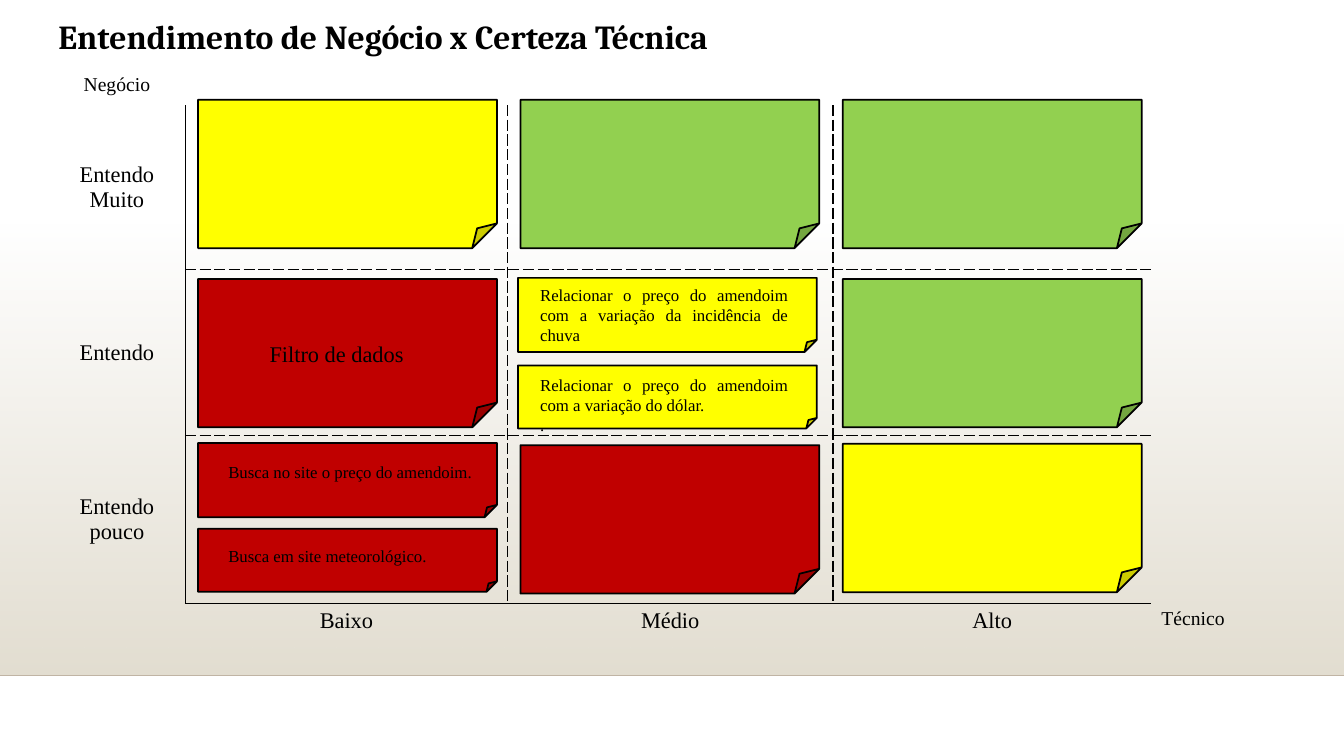
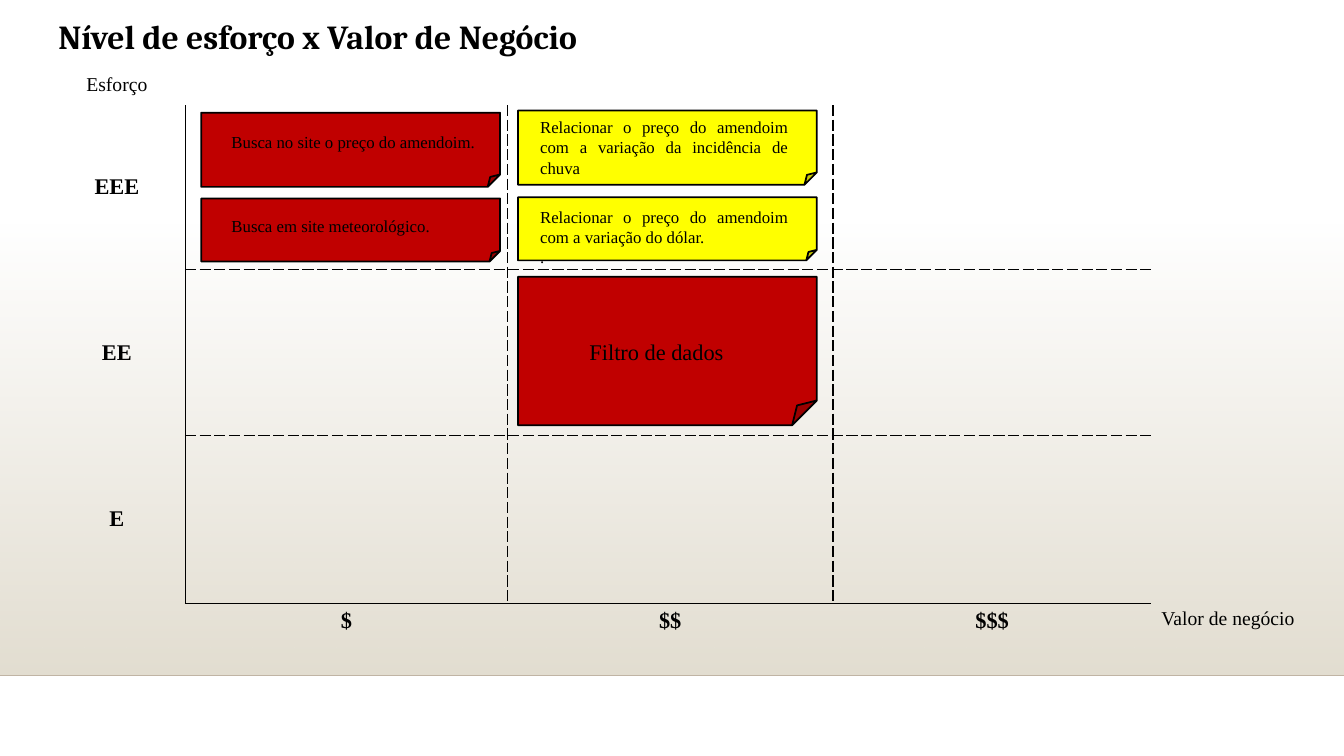
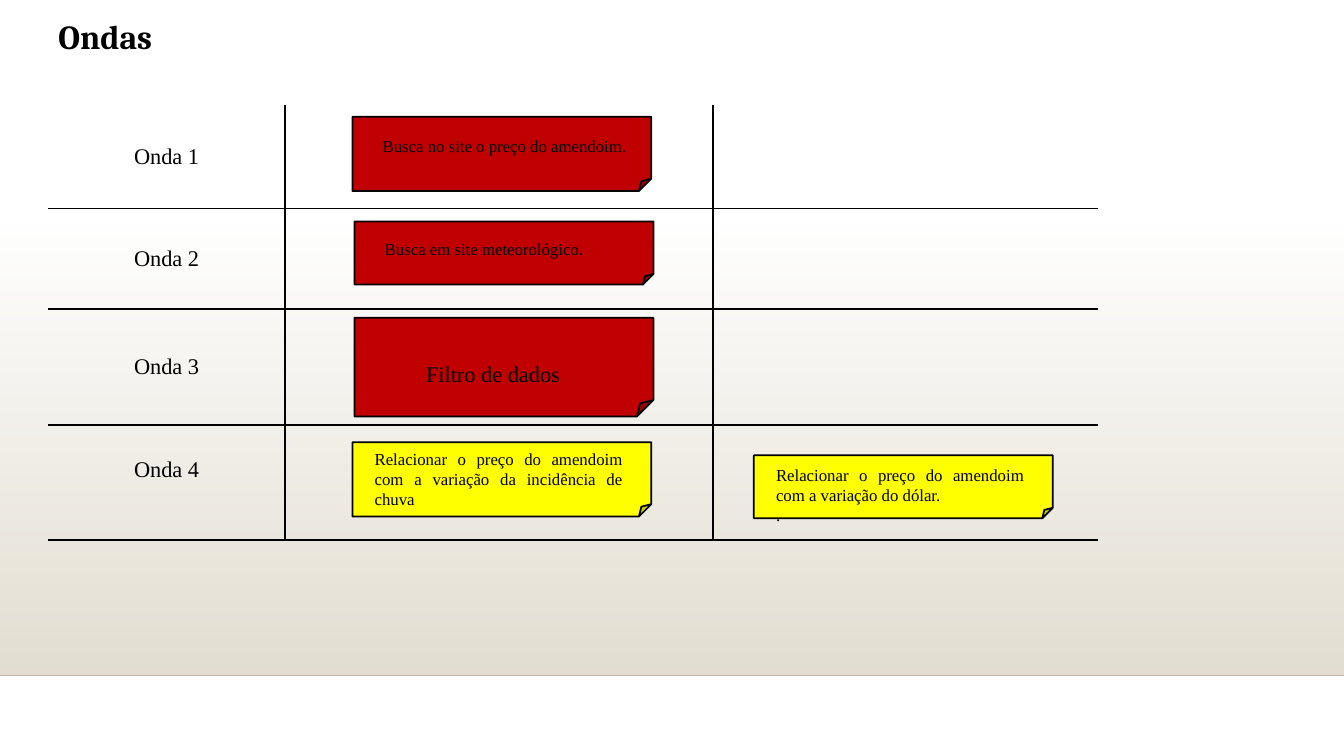
from lxml import etree
from pptx import Presentation
from pptx.dml.color import RGBColor
from pptx.enum import dml, shapes, text
from pptx.oxml.ns import qn
from pptx.util import Pt

COLORS = {
    "black": "000000",
    "sand": "E3DED1",
    "edge": "C0B4A4",
    "red": "C00000",
    "yellow": "FFFF00",
    "green": "92D050",
}
TITLE_FONT = "Cambria"
BODY_FONT = "Times New Roman"
SLIDE_WIDTH, SLIDE_HEIGHT = 960, 540
BAND_TOP, BAND_BOTTOM = 159, 482.5
TABLE_LEFT, TABLE_TOP = 34.5, 10
NOTE_WIDTH, NOTE_HEIGHT = 213.5, 106
LABEL_WIDTH = 191.5
BORDER_ORDER = ["lnL", "lnR", "lnT", "lnB"]
NO_STYLE = "{2D5ABB26-0587-4C30-8999-92F81FD0307C}"
MATRIX_COLUMNS = [98, 230, 232.5, 227.5, 119]
MATRIX_ROWS = [36, 29, 117.5, 118.5, 120, 56]
WAVE_COLUMNS = [169, 306, 275, 136]
WAVE_ROWS = [36, 29, 74, 72, 82.5, 82.5, 56]

LEFT = text.PP_ALIGN.LEFT
CENTER = text.PP_ALIGN.CENTER
JUSTIFY = text.PP_ALIGN.JUSTIFY
TOP = text.MSO_ANCHOR.TOP
MIDDLE = text.MSO_ANCHOR.MIDDLE

STORIES = {
    "price": dict(color="red", height=53, offset=(14.5, 10), label_height=21.5, size=12,
                  alignment=JUSTIFY, content="Busca no site o preço do amendoim."),
    "weather": dict(color="red", height=45, offset=(14.5, 8.5), label_height=21.5, size=12,
                    alignment=JUSTIFY, content="Busca em site meteorológico."),
    "filter": dict(color="red", height=106, offset=(44, 40), label_height=26.5, size=16,
                   alignment=LEFT, content="Filtro de dados"),
    "rain": dict(color="yellow", height=53, offset=(8.75, 1), label_height=70.5, size=12,
                 alignment=JUSTIFY,
                 content="Relacionar o preço do amendoim com a variação da incidência de chuva"),
    "dollar": dict(color="yellow", height=45, offset=(8.75, 3), label_height=51, size=12,
                   alignment=JUSTIFY,
                   content="Relacionar o preço do amendoim com a variação do dólar.\n."),
}


def rgb(name):
    return RGBColor.from_string(COLORS[name])


def write(text_frame, content, size, alignment, bold=False, font=BODY_FONT):
    text_frame.text = content
    for paragraph in text_frame.paragraphs:
        paragraph.alignment = alignment
        for run in paragraph.runs:
            run.font.name = font
            run.font.size = Pt(size)
            run.font.bold = bold
            run.font.color.rgb = rgb("black")


def prepare_layout(presentation):
    layout = presentation.slide_layouts.get_by_name("Blank")
    for placeholder in list(layout.placeholders):
        layout.shapes.element.remove(placeholder.element)
    return layout


def add_backdrop(slide, layout):
    band = slide.shapes.add_shape(
        shapes.MSO_SHAPE.RECTANGLE, Pt(0), Pt(BAND_TOP), Pt(SLIDE_WIDTH), Pt(BAND_BOTTOM - BAND_TOP))
    band.shadow.inherit = False
    band.line.fill.background()
    band.fill.gradient()
    band.fill.gradient_angle = 270
    for stop in band.fill.gradient_stops:
        stop.color.rgb = rgb("sand")
    first_color = next(band.element.iter(qn("a:srgbClr")))
    etree.SubElement(first_color, qn("a:alpha"), val="0")
    edge = slide.shapes.add_connector(
        shapes.MSO_CONNECTOR.STRAIGHT, Pt(0), Pt(BAND_BOTTOM), Pt(SLIDE_WIDTH), Pt(BAND_BOTTOM))
    edge.line.color.rgb = rgb("edge")
    edge.line.width = Pt(1)
    etree.SubElement(edge.element.find(qn("p:spPr")), qn("a:effectLst"))
    for position, shape in enumerate((band, edge), start=2):
        layout.shapes.element.insert(position, shape.element)


def fill_cell(cell, content, size, alignment=CENTER, anchor=MIDDLE, bold=False, font=BODY_FONT):
    cell.margin_top = cell.margin_bottom = Pt(3.6)
    cell.vertical_anchor = anchor
    write(cell.text_frame, content, size, alignment, bold, font)


def add_grid(slide, title, columns, rows):
    frame = slide.shapes.add_table(
        len(rows), len(columns), Pt(TABLE_LEFT), Pt(TABLE_TOP), Pt(sum(columns)), Pt(sum(rows)))
    table = frame.table
    table.first_row = table.horz_banding = False
    next(frame.element.iter(qn("a:tableStyleId"))).text = NO_STYLE
    for column, width in zip(table.columns, columns):
        column.width = Pt(width)
    for row, height in zip(table.rows, rows):
        row.height = Pt(height)
    for cell in table.iter_cells():
        cell.fill.background()
        cell.margin_top = cell.margin_bottom = Pt(0)
    title_cell = table.cell(0, 0)
    title_cell.merge(table.cell(0, len(columns) - 1))
    fill_cell(title_cell, title, 24, LEFT, TOP, True, TITLE_FONT)
    return table


def set_border(cell, side, width, dash):
    properties = cell._tc.get_or_add_tcPr()
    earlier = [qn("a:" + name) for name in BORDER_ORDER[:BORDER_ORDER.index(side)]]
    position = sum(child.tag in earlier for child in properties)
    line = etree.Element(qn("a:" + side), w=str(Pt(width)))
    if width:
        fill = etree.SubElement(line, qn("a:solidFill"))
        etree.SubElement(fill, qn("a:srgbClr"), val=COLORS["black"])
        etree.SubElement(line, qn("a:prstDash"), val=dash)
    else:
        etree.SubElement(line, qn("a:noFill"))
    properties.insert(position, line)


def rule_vertical(table, column, rows, width, dash="solid"):
    for row in rows:
        set_border(table.cell(row, column - 1), "lnR", width, dash)
        set_border(table.cell(row, column), "lnL", width, dash)


def rule_horizontal(table, row, columns, width, dash="solid"):
    for column in columns:
        set_border(table.cell(row - 1, column), "lnB", width, dash)
        set_border(table.cell(row, column), "lnT", width, dash)


def add_matrix(slide, title, vertical_axis, row_labels, horizontal_axis, column_labels, bold=False):
    table = add_grid(slide, title, MATRIX_COLUMNS, MATRIX_ROWS)
    fill_cell(table.cell(1, 0), vertical_axis, 14)
    fill_cell(table.cell(5, 4), horizontal_axis, 14, LEFT, TOP)
    body_rows, body_columns = range(2, 5), range(1, 4)
    for row, label in zip(body_rows, row_labels):
        fill_cell(table.cell(row, 0), label, 16, bold=bold)
        rule_horizontal(table, row + 1, body_columns, 1, "solid" if row == 4 else "sysDash")
    for column, label in zip(body_columns, column_labels):
        fill_cell(table.cell(5, column), label, 16, anchor=TOP, bold=bold)
        rule_vertical(table, column, body_rows, 1, "solid" if column == 1 else "sysDash")
    rule_vertical(table, 4, body_rows, 0)


def add_waves(slide, title, labels):
    table = add_grid(slide, title, WAVE_COLUMNS, WAVE_ROWS)
    wave_rows = range(2, len(labels) + 2)
    for row, label in zip(wave_rows, labels):
        fill_cell(table.cell(row, 0), label, 16)
        rule_horizontal(table, row + 1, range(3), 1.5)
    table.cell(wave_rows[-1], 0).margin_bottom = Pt(22)
    for column, width in ((1, 1.5), (2, 1.5), (3, 0)):
        rule_vertical(table, column, wave_rows, width)


def add_note(container, left, top, color, height=NOTE_HEIGHT):
    note = container.add_shape(
        shapes.MSO_SHAPE.FOLDED_CORNER, Pt(left), Pt(top), Pt(NOTE_WIDTH), Pt(height))
    note.shadow.inherit = False
    note.fill.solid()
    note.fill.fore_color.rgb = rgb(color)
    note.line.color.rgb = rgb("black")
    note.line.width = Pt(1.25)
    note.line.dash_style = dml.MSO_LINE.SOLID


def add_story(slide, name, left, top, height=None):
    story = STORIES[name]
    height = height or story["height"]
    scale = height / story["height"]
    across, down = story["offset"]
    group = slide.shapes.add_group_shape()
    add_note(group.shapes, left, top, story["color"], height)
    label = group.shapes.add_textbox(
        Pt(left + across), Pt(top + down * scale), Pt(LABEL_WIDTH), Pt(story["label_height"] * scale))
    label.text_frame.word_wrap = True
    write(label.text_frame, story["content"], story["size"], story["alignment"])


def add_stories(slide, placements):
    for placement in placements:
        add_story(slide, *placement)


def main():
    presentation = Presentation()
    presentation.slide_width, presentation.slide_height = Pt(SLIDE_WIDTH), Pt(SLIDE_HEIGHT)
    layout = prepare_layout(presentation)
    certainty, effort, waves = [presentation.slides.add_slide(layout) for _ in range(3)]
    add_backdrop(certainty, layout)

    add_matrix(certainty, "Entendimento de Negócio x Certeza Técnica",
               "Negócio", ["Entendo Muito", "Entendo", "Entendo pouco"],
               "Técnico", ["Baixo", "Médio", "Alto"])
    blank_notes = [
        (0, 71.25, "yellow"), (1, 71.25, "green"), (2, 71.25, "green"),
        (2, 199.25, "green"), (1, 318, "red"), (2, 317, "yellow"),
    ]
    for column, top, color in blank_notes:
        add_note(certainty.shapes, 141.5 + 230.25 * column, top, color)
    add_stories(certainty, [
        ("price", 141.5, 316.5), ("rain", 370, 198.5), ("filter", 141.5, 199.25),
        ("weather", 141.5, 377.75), ("dollar", 370, 261),
    ])

    add_matrix(effort, "Nível de esforço x Valor de Negócio",
               "Esforço", ["EEE", "EE", "E"],
               "Valor de negócio", ["$", "$$", "$$$"], bold=True)
    add_stories(effort, [
        ("price", 143.75, 80.5), ("filter", 370, 197.75), ("weather", 143.75, 141.75),
        ("rain", 370, 79), ("dollar", 370, 141),
    ])

    add_waves(waves, "Ondas", ["Onda 1", "Onda 2", "Onda 3", "Onda 4"])
    add_stories(waves, [
        ("price", 251.75, 83.5), ("filter", 253.25, 227, 70.5), ("weather", 253.25, 158.25),
        ("rain", 251.75, 316), ("dollar", 538.5, 325.25),
    ])
    presentation.save("out.pptx")


if __name__ == "__main__":
    main()
